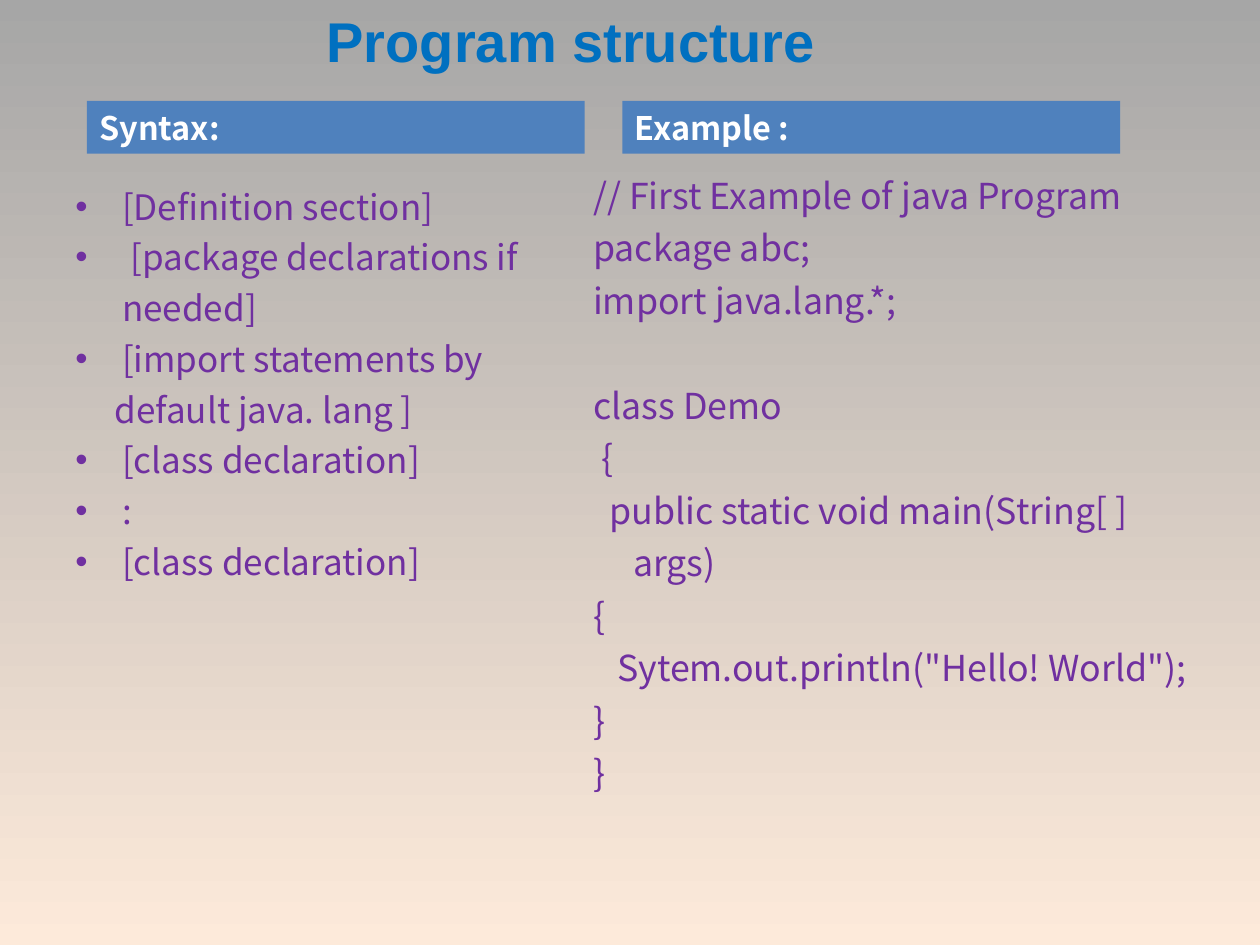
from pptx import Presentation
from pptx.dml.color import RGBColor
from pptx.enum.shapes import MSO_SHAPE
from pptx.enum.text import MSO_ANCHOR, PP_ALIGN
from pptx.oxml.ns import qn
from pptx.util import Inches, Pt
from lxml.etree import SubElement

BLUE = RGBColor(0x00, 0x70, 0xC0)
BAR_BLUE = RGBColor(0x4F, 0x81, 0xBD)
PURPLE = RGBColor(0x70, 0x30, 0xA0)
WHITE = RGBColor(0xFF, 0xFF, 0xFF)
GREY = RGBColor(0xA6, 0xA6, 0xA6)
CREAM = RGBColor(0xFD, 0xEA, 0xDA)
BODY_FONT = "Noto Sans CJK KR"

TITLE = "Program structure "
HEADERS = [("Syntax:", 0.69), ("Example :", 4.94)]
SYNTAX = [
    ("[Definition section]", 0.37, True),
    ("[package declarations if", 0.44, True),
    ("needed]", 0.37, False),
    ("[import statements by", 0.37, True),
    ("default java. lang ]", 0.31, False),
    ("[class declaration]", 0.37, True),
    (":", 0.37, True),
    ("[class declaration]", 0.37, True),
]
CODE_BLOCKS = [
    [
        "// First Example of java Program",
        "package abc;",
        "import java.lang.*;",
    ],
    [
        "class Demo",
        " {",
        "  public static void main(String[ ]",
        "     args)",
        "{",
        '   Sytem.out.println("Hello! World");',
        "}",
        "}",
    ],
]


def add_text_box(slide, left, top, width, height):
    box = slide.shapes.add_textbox(Inches(left), Inches(top), Inches(width), Inches(height))
    box.text_frame.word_wrap = True
    return box.text_frame


def format_runs(paragraph, size, color, name=BODY_FONT, bold=False):
    for run in paragraph.runs:
        run.font.size = Pt(size)
        run.font.name = name
        run.font.bold = bold
        run.font.color.rgb = color
        properties = run.font._element
        SubElement(properties, qn("a:ea")).set("typeface", name)


def add_line(text_frame, text, size, space_before):
    first = not text_frame.text
    paragraph = text_frame.paragraphs[0] if first else text_frame.add_paragraph()
    paragraph.text = text
    if not first:
        paragraph.space_before = Pt(space_before)
    format_runs(paragraph, size, PURPLE)
    return paragraph


def set_indent(paragraph, indent, bulleted):
    properties = paragraph._p.get_or_add_pPr()
    properties.set("marL", str(Inches(indent)))
    properties.set("indent", str(-Inches(indent) if bulleted else 0))
    if bulleted:
        color = SubElement(properties, qn("a:buClr"))
        SubElement(color, qn("a:srgbClr")).set("val", str(PURPLE))
        SubElement(properties, qn("a:buFont")).set("typeface", "Arial")
        SubElement(properties, qn("a:buChar")).set("char", "•")
    else:
        SubElement(properties, qn("a:buNone"))


def set_background(slide):
    fill = slide.background.fill
    fill.gradient()
    fill.gradient_angle = 270
    for stop, color, position in zip(fill.gradient_stops, (GREY, CREAM), (0, 1)):
        stop.color.rgb = color
        stop.position = position


def add_title(slide):
    text_frame = add_text_box(slide, 0.47, 0, 8.25, 0.55)
    text_frame.text = TITLE
    paragraph = text_frame.paragraphs[0]
    paragraph.alignment = PP_ALIGN.CENTER
    format_runs(paragraph, 32, BLUE, "Arial", True)


def add_header(slide, text, left):
    shape = slide.shapes.add_shape(
        MSO_SHAPE.RECTANGLE, Inches(left), Inches(0.8), Inches(3.95), Inches(0.42)
    )
    shape.shadow.inherit = False
    shape.fill.solid()
    shape.fill.fore_color.rgb = BAR_BLUE
    shape.line.fill.background()
    text_frame = shape.text_frame
    text_frame.vertical_anchor = MSO_ANCHOR.MIDDLE
    text_frame.text = text
    paragraph = text_frame.paragraphs[0]
    paragraph.alignment = PP_ALIGN.LEFT
    format_runs(paragraph, 18.5, WHITE, bold=True)


def add_code(slide):
    text_frame = add_text_box(slide, 4.61, 1.33, 5.16, 5.5)
    for block in CODE_BLOCKS:
        for index, line in enumerate(block):
            add_line(text_frame, line, 20.4, 5.5 if index else 35.5)


def add_syntax(slide):
    text_frame = add_text_box(slide, 0.5, 1.42, 4.25, 5.42)
    for text, indent, bulleted in SYNTAX:
        paragraph = add_line(text_frame, text, 20, 5)
        set_indent(paragraph, indent, bulleted)


def main():
    presentation = Presentation()
    presentation.slide_width = Inches(10)
    presentation.slide_height = Inches(7.5)
    slide = presentation.slides.add_slide(presentation.slide_layouts[6])
    set_background(slide)
    add_title(slide)
    add_code(slide)
    for text, left in HEADERS:
        add_header(slide, text, left)
    add_syntax(slide)
    presentation.save("out.pptx")


if __name__ == "__main__":
    main()
